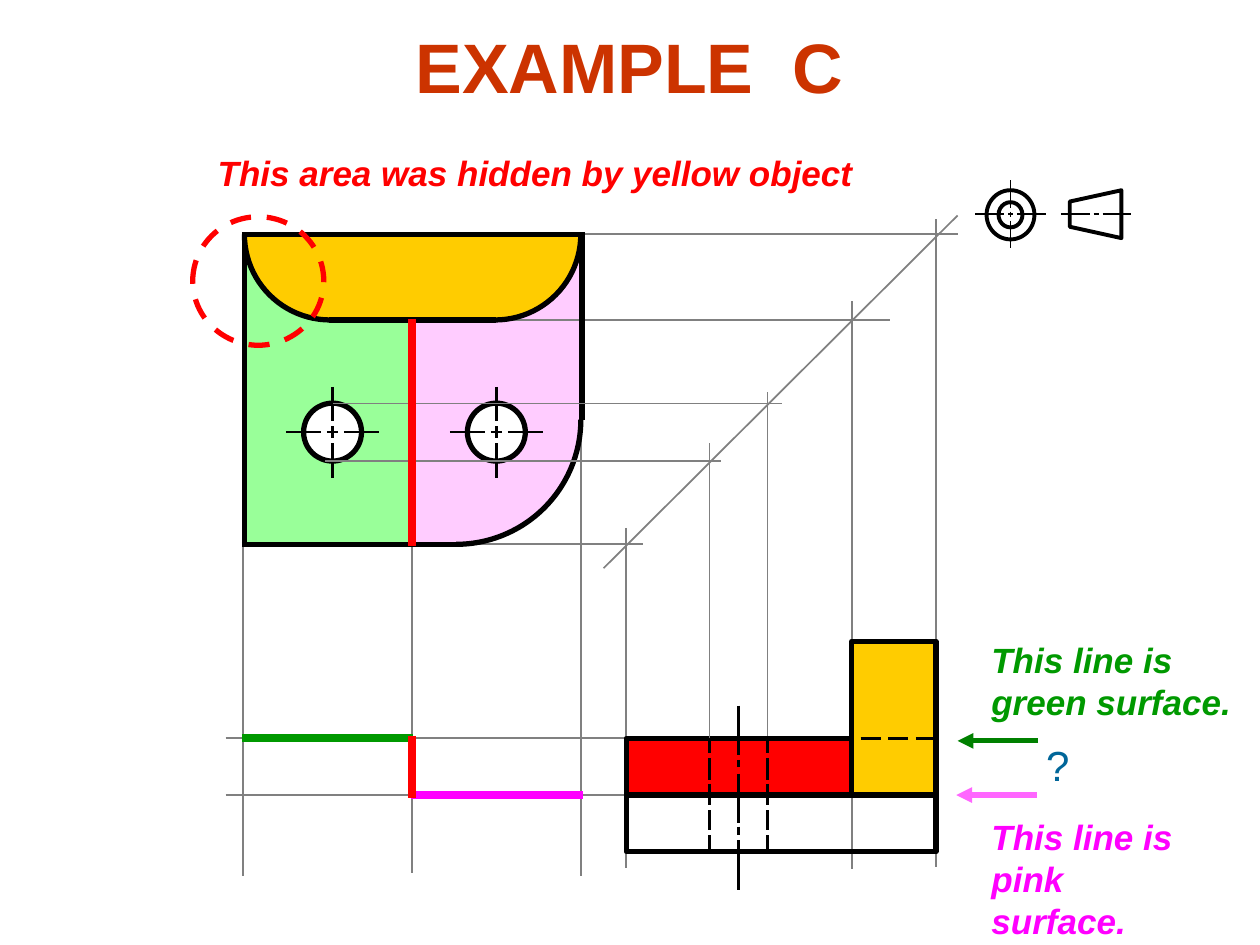
import math
from dataclasses import dataclass

import pptx
import pptx.util
import pptx.dml.color
import pptx.enum.dml
import pptx.enum.shapes
import pptx.enum.text
import pptx.oxml.ns
from lxml import etree

Inches = pptx.util.Inches
Pt = pptx.util.Pt
SHAPE = pptx.enum.shapes.MSO_SHAPE


@dataclass(frozen=True)
class Theme:
    font: str = "Arial"
    title_size: int = 40
    mark_size: int = 24
    note_size: int = 20
    title: str = "CC3300"
    mark: str = "006699"
    black: str = "000000"
    white: str = "FFFFFF"
    grey: str = "808080"
    red: str = "FF0000"
    yellow: str = "FFCC00"
    pale_pink: str = "FFCCFF"
    pale_green: str = "99FF99"
    green: str = "009900"
    magenta: str = "FF00FF"
    green_arrow: str = "008000"
    pink_arrow: str = "FF66FF"


T = Theme()


def rgb(color):
    return pptx.dml.color.RGBColor.from_string(color)


def paint(sp, fill=None, line=None, width=0.75):
    sp.shadow.inherit = False
    if fill:
        sp.fill.solid()
        sp.fill.fore_color.rgb = rgb(fill)
    else:
        sp.fill.background()
    if line:
        sp.line.color.rgb = rgb(line)
        sp.line.width = Pt(width)
    else:
        sp.line.fill.background()
    return sp


def add_preset(s, kind, x, y, w, h, fill=None, line=T.black, width=3, adj=()):
    sp = s.shapes.add_shape(kind, Inches(x), Inches(y), Inches(w), Inches(h))
    for i, value in enumerate(adj):
        sp.adjustments[i] = value
    return paint(sp, fill, line, width)


def add_outline(s, points, fill=None, line=T.black, width=0.75):
    pts = [(Inches(x), Inches(y)) for x, y in points]
    fb = s.shapes.build_freeform(*pts[0])
    fb.add_line_segments(pts[1:], close=True)
    return paint(fb.convert_to_shape(), fill, line, width)


def add_line(s, x1, y1, x2, y2, color=T.black, width=3.0, arrow=False):
    cx = s.shapes.add_connector(pptx.enum.shapes.MSO_CONNECTOR.STRAIGHT,
                                Inches(x1), Inches(y1), Inches(x2), Inches(y2))
    cx.line.color.rgb = rgb(color)
    cx.line.width = Pt(width)
    qn = pptx.oxml.ns.qn
    if arrow:
        etree.SubElement(cx.line._get_or_add_ln(), qn("a:tailEnd"), type="triangle")
    etree.SubElement(cx._element.spPr, qn("a:effectLst"))


def add_lines(s, ends, color=T.black, width=3.0):
    for x1, y1, x2, y2 in ends:
        add_line(s, x1, y1, x2, y2, color, width)


def add_text(s, x, y, w, h, lines, size, color, bold=True, italic=True,
             center=False, inset=(0.1, 0.05)):
    align = pptx.enum.text.PP_ALIGN
    tf = s.shapes.add_textbox(Inches(x), Inches(y), Inches(w), Inches(h)).text_frame
    tf.word_wrap = False
    tf.auto_size = pptx.enum.text.MSO_AUTO_SIZE.SHAPE_TO_FIT_TEXT
    tf.margin_left = tf.margin_right = Inches(inset[0])
    tf.margin_top = tf.margin_bottom = Inches(inset[1])
    for i, line in enumerate(lines):
        p = tf.add_paragraph() if i else tf.paragraphs[0]
        p.alignment = align.CENTER if center else align.LEFT
        r = p.add_run()
        r.text = line
        r.font.name, r.font.size = T.font, Pt(size)
        r.font.bold, r.font.italic = bold, italic
        r.font.color.rgb = rgb(color)


def arc_points(cx, cy, radius, start, end, steps=16):
    angles = [math.radians(start + (end - start) * i / steps) for i in range(steps + 1)]
    return [(cx + radius * math.cos(a), cy + radius * math.sin(a)) for a in angles]


def add_arc(s, cx, cy, radius, start, end):
    # Angle adjustments count 0.6 per degree
    add_preset(s, SHAPE.ARC, cx - radius, cy - radius, 2 * radius, 2 * radius,
               adj=(start * 0.6, end * 0.6))


def add_center_mark(s, cx, cy, dash, gap, reach_x, reach_y, width):
    for near, far in ((-dash, dash), (gap, 1), (-1, -gap)):
        ends = [(near if abs(near) < 1 else near * r, far if abs(far) < 1 else far * r)
                for r in (reach_x, reach_y)]
        (x1, x2), (y1, y2) = ends
        add_line(s, cx + x1, cy, cx + x2, cy, width=width)
        add_line(s, cx, cy + y1, cx, cy + y2, width=width)


def add_surfaces(s):
    right = arc_points(3.93, 1.86, 0.68, 0, 90)
    left = arc_points(2.62, 1.86, 0.68, 90, 180)
    corner = arc_points(3.62, 3.33, 0.99, 90, 0)
    add_preset(s, SHAPE.RECTANGLE, 4.97, 5.85, 1.79, 0.46, T.red, width=0.75)
    add_preset(s, SHAPE.RECTANGLE, 6.76, 5.08, 0.67, 1.22, T.yellow, width=0.75)
    add_outline(s, [(3.29, 2.54), (3.29, 4.32)] + corner + right, T.pale_pink)
    add_outline(s, [(1.93, 4.31), (3.28, 4.31), (3.28, 2.54)] + left, T.pale_green)
    add_outline(s, right + left, T.yellow, line=None)


def add_projection_lines(s):
    add_line(s, 4.79, 4.51, 7.6, 1.71, T.grey, 1)
    across = ((3.74, 5.1, 4.32), (4.61, 7.6, 1.86), (4.03, 7.06, 2.54),
              (1.79, 4.97, 5.86), (1.79, 4.97, 6.31))
    down = ((4.97, 4.19, 6.89), (7.43, 1.74, 6.88), (6.76, 2.39, 6.9),
            (1.93, 4.3, 6.95), (4.61, 3.44, 6.95), (3.27, 4.3, 6.93))
    add_lines(s, [(x1, y, x2, y) for x1, x2, y in across], T.grey, 1)
    add_lines(s, [(x, y1, x, y2) for x, y1, y2 in down], T.grey, 1)


def add_projection_symbol(s):
    add_preset(s, SHAPE.DONUT, 7.83, 1.51, 0.38, 0.39, width=2.25, adj=(0.25,))
    add_outline(s, [(8.9, 1.51), (8.9, 1.89), (8.49, 1.8), (8.49, 1.6)], width=2.25)
    add_center_mark(s, 8.02, 1.7, 0.02, 0.05, 0.28, 0.27, 1)
    add_lines(s, [(x1, 1.7, x2, 1.7) for x1, x2 in
                  ((8.42, 8.65), (8.68, 8.72), (8.75, 8.98))], width=1)


def add_top_view(s):
    add_arc(s, 3.93, 1.86, 0.68, 0, 90)
    add_arc(s, 2.62, 1.86, 0.68, 90, 180)
    add_arc(s, 3.62, 3.33, 0.99, 0, 90)
    add_lines(s, [(2.61, 2.54, 3.94, 2.54), (1.92, 1.86, 4.63, 1.86),
                  (4.62, 1.84, 4.62, 3.33), (1.92, 4.32, 3.63, 4.32),
                  (1.94, 1.85, 1.94, 4.34), (3.28, 2.54, 3.28, 4.33)])
    for cx in (2.64, 3.94):
        add_preset(s, SHAPE.OVAL, cx - 0.23, 3.2, 0.46, 0.46, T.white)
        add_center_mark(s, cx, 3.43, 0.045, 0.09, 0.37, 0.36, 1.5)


def add_side_view(s):
    for box in ((4.97, 6.31, 2.46, 0.45), (4.97, 5.86, 1.79, 0.45),
                (6.76, 5.09, 0.67, 1.22)):
        add_preset(s, SHAPE.RECTANGLE, *box)
    # Hidden edges of the hole
    dashes = ((5.85, 5.98), (6.02, 6.19), (6.22, 6.39), (6.43, 6.59), (6.63, 6.76))
    add_lines(s, [(x, a, x, b) for x in (5.63, 6.09) for a, b in dashes], width=2)
    # Axis of the hole
    axis = ((5.6, 5.99), (6.03, 6.09), (6.14, 6.53), (6.56, 6.63), (6.67, 7.06))
    add_lines(s, [(5.86, a, 5.86, b) for a, b in axis], width=1.5)
    # Hidden edge behind the yellow block
    add_lines(s, [(x, 5.86, x + 0.16, 5.86) for x in (6.83, 7.05, 7.27)], width=2)
    # Projection lines of the hole
    add_lines(s, [(2.64, 3.2, 6.21, 3.2), (2.58, 3.66, 5.72, 3.66),
                  (5.63, 5.86, 5.63, 3.52), (6.09, 5.84, 6.09, 3.11)], T.grey, 0.75)


def add_notes_on_view(s):
    add_text(s, 3.2, 0.14, 3.59, 0.77, ["EXAMPLE  C"], T.title_size, T.title,
             italic=False, center=True)
    add_text(s, 8.3, 5.87, 0.19, 0.4, ["?"], T.mark_size, T.mark, bold=False,
             italic=False, center=True, inset=(0, 0))
    ring = add_preset(s, SHAPE.OVAL, 1.53, 1.72, 1.04, 1.02, line=T.red)
    ring.line.dash_style = pptx.enum.dml.MSO_LINE.DASH
    add_text(s, 1.63, 1.15, 5.24, 0.44, ["This area was hidden by yellow object"],
             T.note_size, T.red)
    add_line(s, 8.24, 5.88, 7.6, 5.88, T.green_arrow, arrow=True)
    add_text(s, 7.77, 5.02, 2.1, 0.77, ["This line is", "green surface."],
             T.note_size, T.green)
    add_line(s, 8.23, 6.31, 7.59, 6.31, T.pink_arrow, arrow=True)
    add_text(s, 7.77, 6.42, 1.91, 0.77, ["This line is", "pink surface."],
             T.note_size, T.magenta)
    # Surfaces seen edge-on, and the step between them
    add_line(s, 1.92, 5.86, 3.28, 5.86, T.green, 4.5)
    add_line(s, 3.26, 6.31, 4.63, 6.31, T.magenta, 4.5)
    add_lines(s, [(3.27, 2.53, 3.27, 4.33), (3.27, 5.84, 3.27, 6.33)], T.red, 4.5)


def main():
    prs = pptx.Presentation()
    prs.slide_width, prs.slide_height = Inches(10), Inches(7.5)
    s = prs.slides.add_slide(prs.slide_layouts[6])
    add_surfaces(s)
    add_projection_lines(s)
    add_projection_symbol(s)
    add_top_view(s)
    add_side_view(s)
    add_notes_on_view(s)
    prs.save("out.pptx")


if __name__ == "__main__":
    main()
